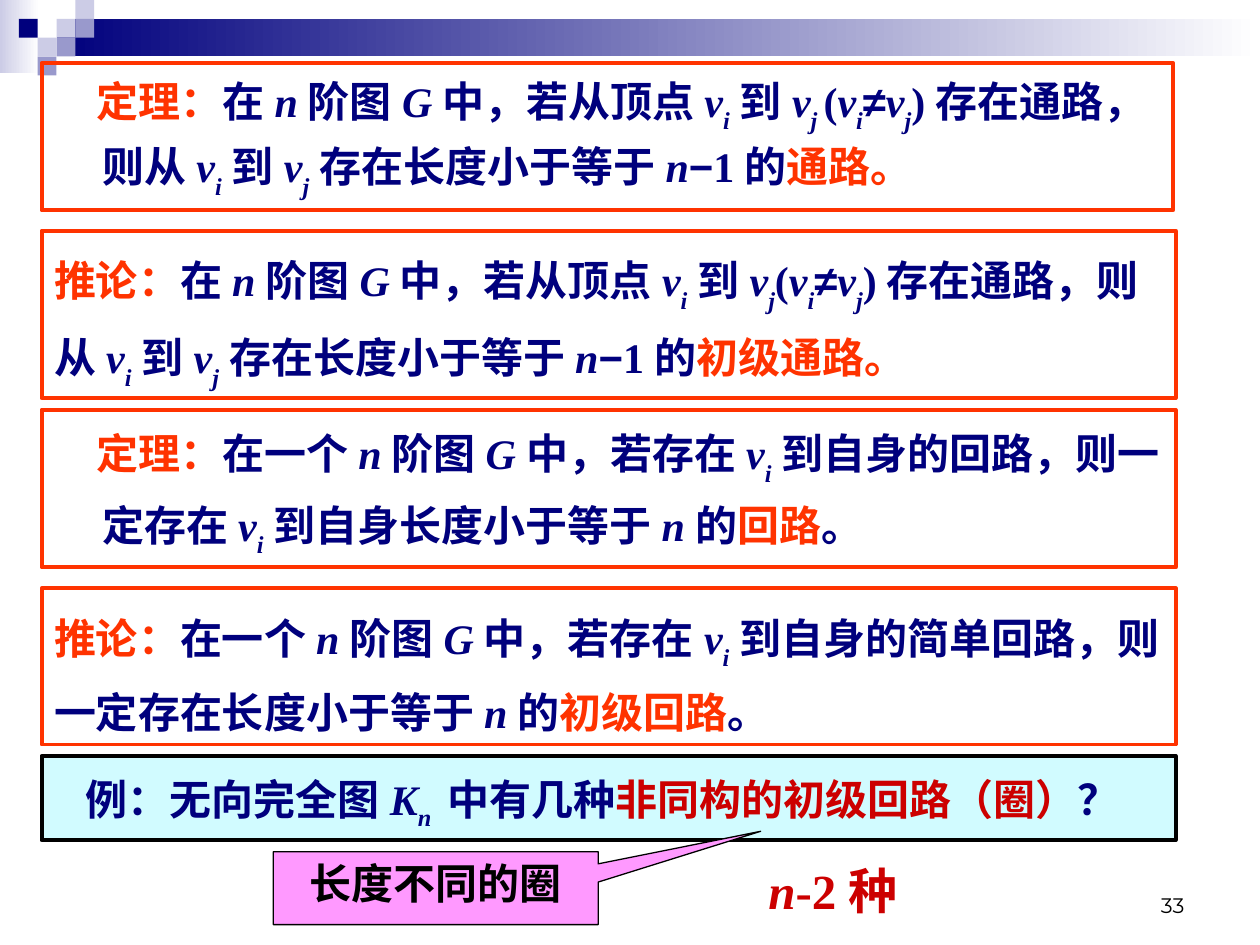
import pptx
import pptx.util
import pptx.dml.color
import pptx.enum.shapes
import pptx.enum.text
import pptx.oxml.ns
import lxml.etree

Cm = pptx.util.Cm
Pt = pptx.util.Pt
Kind = pptx.enum.shapes.MSO_SHAPE
Align = pptx.enum.text.PP_ALIGN
Anchor = pptx.enum.text.MSO_ANCHOR

THEME = {
    "navy": "00007D", "hot": "FF3300", "red": "CC0000", "black": "000000",
    "white": "FFFFFF", "pale": "CCCCE6", "mid": "9999CC",
    "aqua": "D1FBFF", "pink": "FF99FF",
    "serif": "Times New Roman", "sans": "Arial", "num": "Montserrat",
    "text": 24, "big": 28, "small": 12,
}

STYLES = {
    "text": {},
    "hot": {"color": "hot"},
    "red": {"color": "red"},
    "var": {"ital": True},
    "sub": {"ital": True, "base": -30},
    "low": {"ital": True, "base": -25},
    "sign": {"face": "sans"},
    "head": {"face": "sans", "color": "black"},
    "sum": {"color": "red", "size": "big"},
    "sumvar": {"color": "red", "size": "big", "ital": True},
    "page": {"face": "num", "color": "black", "size": "small", "bold": False},
}

VI = [("v", "var"), ("i", "sub")]
VJ = [("v", "var"), ("j", "sub")]
TO = [("到", "text")]
GRAPH = [("n", "var"), ("阶图", "text"), ("G", "var")]


def path_text(label, gap, goal):
    return [(label, "hot"), ("在", "text"), *GRAPH, ("中，若从顶点", "text"),
            *VI, *TO, ("v", "var"), ("j" + gap, "sub"), ("(", "text"), *VI,
            ("≠", "sign"), *VJ, (")存在通路，则从", "text"), *VI, *TO, *VJ,
            ("存在长度小于等于", "text"), ("n", "var"), ("−", "sign"),
            ("1的", "text"), (goal, "hot")]


def loop_text(label, middle, goal):
    return [(label, "hot"), ("在一个", "text"), *GRAPH, ("中，若存在", "text"),
            *VI, *middle, ("n", "var"), ("的", "text"), (goal, "hot"),
            ("。", "text")]


LEFT, WIDE = 0.84, 22.86
HANG = 0.97
BOXES = [
    {"top": 1.27, "tall": 2.97, "wide": 22.81, "space": 1.1, "left": HANG, "first": -0.12,
     "runs": path_text("定理：", " ", "通路。")},
    {"top": 4.65, "tall": 3.38, "space": 1.3,
     "runs": path_text("推论：", "", "初级通路。")},
    {"top": 8.26, "tall": 3.18, "space": 1.2, "left": HANG, "first": -0.12,
     "runs": loop_text("定理：", [("到自身的回路，则一定存在", "text"), *VI,
                                ("到自身长度小于等于", "text")], "回路")},
    {"top": 11.86, "tall": 3.15, "space": 1.3,
     "runs": loop_text("推论：", [("到自身的简单回路，则一定存在长度小于等于", "text")],
                       "初级回路")},
    {"top": 15.24, "tall": 1.7, "space": 1.2, "left": HANG, "first": -0.33,
     "fill": "aqua", "line": "black",
     "runs": [("例：无向完全图", "text"), ("K", "var"), ("n ", "low"),
              ("中有几种", "text"), ("非同构的初级回路（圈）", "red"), ("？", "text")]},
]

UNIT = 0.38
BANDS = [((0, 0, 0.79, 1.47), "pale"), ((1.14, UNIT, 24.26, 2 * UNIT), "navy")]
TILES = [(3, 1, "pale"), (4, 0, "pale"), (4, 1, "mid"), (2, 2, "pale"),
         (1, 1, "navy"), (3, 2, "mid"), (2, 3, "mid")]


def tint(name):
    return pptx.dml.color.RGBColor.from_string(THEME[name])


def paint(shape, fill=None, line=None, width=2.25):
    if fill:
        shape.fill.solid()
        shape.fill.fore_color.rgb = tint(fill)
    else:
        shape.fill.background()
    if line:
        shape.line.color.rgb = tint(line)
        shape.line.width = Pt(width)
    else:
        shape.line.fill.background()


def add_form(slide, kind, place):
    shape = slide.shapes.add_shape(kind, *map(Cm, place))
    shape.shadow.inherit = False
    return shape


def add_run(para, words, style):
    look = STYLES[style]
    run = para.add_run()
    run.text = words
    font = run.font
    font.name = THEME[look.get("face", "serif")]
    font.size = Pt(THEME[look.get("size", "text")])
    font.bold = look.get("bold", True)
    font.italic = look.get("ital", False)
    font.color.rgb = tint(look.get("color", "navy"))
    if "base" in look:
        font._element.set("baseline", str(look["base"] * 1000))


def write(shape, runs, align=Align.LEFT, space=1.0, left=0, first=0, anchor=Anchor.TOP):
    frame = shape.text_frame
    frame.word_wrap = True
    frame.auto_size = pptx.enum.text.MSO_AUTO_SIZE.NONE
    frame.vertical_anchor = anchor
    para = frame.paragraphs[0]
    props = para._p.get_or_add_pPr()
    props.set("marL", str(Cm(left)))
    props.set("indent", str(Cm(first)))
    lxml.etree.SubElement(props, pptx.oxml.ns.qn("a:buNone"))
    para.alignment = align
    para.line_spacing = space
    para.space_before = Pt(0)
    for words, style in runs:
        add_run(para, words, style)


def add_decor(slide):
    for place, color in BANDS:
        band = add_form(slide, Kind.RECTANGLE, place)
        band.line.fill.background()
        band.fill.gradient()
        band.fill.gradient_angle = 180
        for stop, name in zip(band.fill.gradient_stops, ("white", color)):
            stop.color.rgb = tint(name)
    for col, row, color in TILES:
        tile = add_form(slide, Kind.RECTANGLE, (col * UNIT, row * UNIT, UNIT, UNIT))
        paint(tile, color)


def add_boxes(slide, body):
    for box in BOXES:
        place = (LEFT, box["top"], box.get("wide", WIDE), box["tall"])
        if box is BOXES[0]:
            shape = body
            shape.left, shape.top, shape.width, shape.height = map(Cm, place)
            shape.element.getparent().append(shape.element)
        else:
            shape = add_form(slide, Kind.RECTANGLE, place)
        paint(shape, box.get("fill"), box.get("line", "hot"))
        write(shape, box["runs"], space=box["space"],
              left=box.get("left", 0), first=box.get("first", 0))


def add_notes(slide):
    hint = add_form(slide, Kind.RECTANGULAR_CALLOUT, (5.51, 17.17, 6.55, 1.47))
    hint.adjustments[0], hint.adjustments[1] = 1.0, -0.78
    paint(hint, "pink", "black", 0.75)
    write(hint, [("长度不同的圈", "head")], Align.CENTER)
    total = slide.shapes.add_textbox(*map(Cm, (15.24, 17.22, 3.61, 1.45)))
    write(total, [("n", "sumvar"), ("-2种", "sum")])
    page = slide.shapes.add_textbox(*map(Cm, (18.21, 17.35, 5.92, 1.27)))
    write(page, [("33", "page")], Align.RIGHT, anchor=Anchor.BOTTOM)


def main():
    deck = pptx.Presentation()
    deck.slide_width, deck.slide_height = Cm(25.4), Cm(19.05)
    slide = deck.slides.add_slide(deck.slide_layouts[1])
    title = slide.shapes.title.element
    title.getparent().remove(title)
    add_decor(slide)
    add_boxes(slide, slide.placeholders[1])
    add_notes(slide)
    deck.save("out.pptx")


if __name__ == "__main__":
    main()
